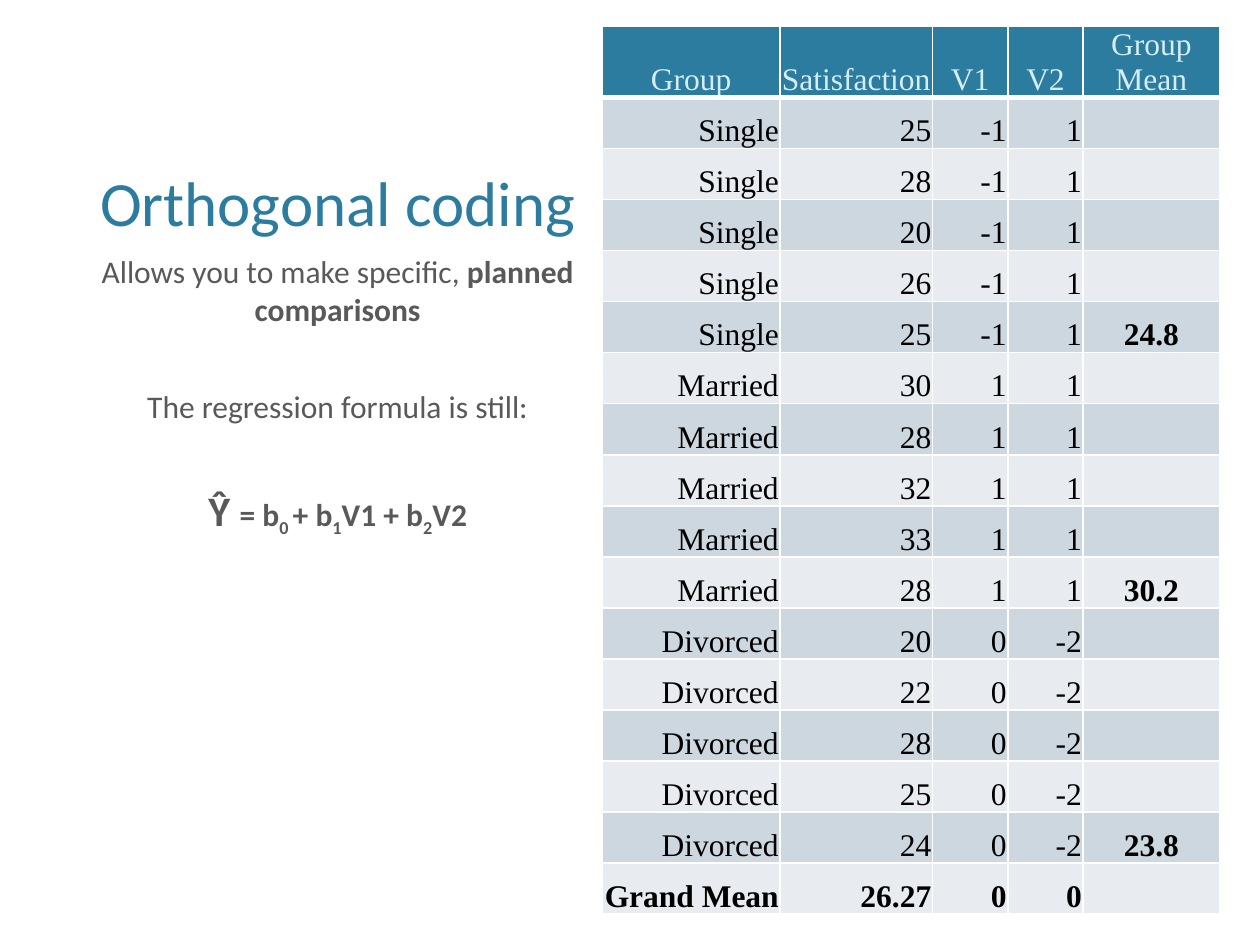
from dataclasses import dataclass

from lxml.etree import SubElement
from pptx import Presentation
from pptx.dml.color import RGBColor
from pptx.enum.text import MSO_ANCHOR, MSO_AUTO_SIZE, PP_ALIGN
from pptx.oxml.ns import qn
from pptx.util import Inches, Pt


@dataclass(frozen=True)
class Theme:
    accent: str = "2C7C9F"
    heading: str = "D5EDF4"
    body: str = "595959"
    cell: str = "000000"
    bands: tuple = ("CDD7DF", "E8ECF0")
    rule: str = "FFFFFF"
    sans: str = "Calibri"
    serif: str = "Times New Roman"
    title_size: int = 36
    symbol_size: int = 24
    text_size: int = 18


THEME = Theme()
WIDTH, HEIGHT = 10, 7.5

# Boxes are left, top, width and height as shares of the slide
TITLE_BOX = (0.058, 0.09, 0.42, 0.17)
BODY_BOX = (0.058, 0.26, 0.42, 0.54)
TABLE_BOX = (0.478, 0.028, 0.49, 0.94)

COLUMN_SHARES = (0.288, 0.247, 0.122, 0.122, 0.221)
HEADER_SHARE = 0.08
HEADINGS = ("Group", "Satisfaction", "V1", "V2", "Group Mean")
# Group, satisfaction scores, V1 and V2 codes, group mean
GROUPS = (
    ("Single", (25, 28, 20, 26, 25), -1, 1, 24.8),
    ("Married", (30, 28, 32, 33, 28), 1, 1, 30.2),
    ("Divorced", (20, 22, 28, 25, 24), 0, -2, 23.8),
)
GRAND_MEAN = ("Grand Mean", 26.27, 0, 0, "")

# Each paragraph: space before in points, then (text, formats) spans
BOLD = {"bold": True}
SUBSCRIPT = {"bold": True, "baseline": -25000}
BODY_TEXT = (
    (6, (("Allows you to make specific, ", {}), ("planned comparisons", BOLD))),
    (34, (("The regression formula is still:", {}),)),
    (34, (
        ("Ŷ ", {"bold": True, "size": THEME.symbol_size}),
        ("= b", BOLD), ("0 ", SUBSCRIPT),
        ("+ b", BOLD), ("1", SUBSCRIPT),
        ("V1 + b", BOLD), ("2", SUBSCRIPT), ("V2", BOLD),
    )),
)


def set_all(target, formats):
    for name, value in formats.items():
        setattr(target, name, value)


def to_slide(box):
    """Turn shares of the slide into lengths."""
    return [Inches(share * side) for share, side in zip(box, (WIDTH, HEIGHT) * 2)]


def add_span(para, text, color, name, size=THEME.text_size, bold=False, baseline=0):
    span = para.add_run()
    span.text = text
    set_all(span.font, {"name": name, "size": Pt(size), "bold": bold})
    span.font.color.rgb = RGBColor.from_string(color)
    if baseline:
        span._r.get_or_add_rPr().set("baseline", str(baseline))


def place(holder, box, anchor):
    set_all(holder, dict(zip(("left", "top", "width", "height"), to_slide(box))))
    set_all(holder.text_frame, {
        "word_wrap": True, "auto_size": MSO_AUTO_SIZE.NONE, "vertical_anchor": anchor,
    })


def fill_title(holder, box):
    place(holder, box, MSO_ANCHOR.BOTTOM)
    para = holder.text_frame.paragraphs[0]
    para.alignment = PP_ALIGN.CENTER
    add_span(para, "Orthogonal coding", THEME.accent, THEME.sans, THEME.title_size)


def fill_body(holder, box):
    place(holder, box, MSO_ANCHOR.TOP)
    frame = holder.text_frame
    for index, (gap, spans) in enumerate(BODY_TEXT):
        para = frame.add_paragraph() if index else frame.paragraphs[0]
        set_all(para, {"alignment": PP_ALIGN.CENTER, "space_before": Pt(gap)})
        for text, formats in spans:
            add_span(para, text, THEME.body, THEME.sans, **formats)


def add_borders(cell, top, bottom):
    """Draw the four cell edges; must run before the cell is filled."""
    properties = cell._tc.get_or_add_tcPr()
    for side, points in (("L", 1), ("R", 1), ("T", top), ("B", bottom)):
        line = SubElement(properties, qn(f"a:ln{side}"), w=str(Pt(points)))
        fill = SubElement(line, qn("a:solidFill"))
        SubElement(fill, qn("a:srgbClr"), val=THEME.rule)


def table_rows():
    rows = [HEADINGS]
    for group, scores, v1, v2, mean in GROUPS:
        rows += [(group, score, v1, v2, "") for score in scores[:-1]]
        rows.append((group, scores[-1], v1, v2, mean))
    return rows + [GRAND_MEAN]


def fill_cell(cell, value, row, column, last_row):
    header, mean_column = row == 0, column == len(HEADINGS) - 1
    add_borders(cell, top=3 if row == 1 else 1, bottom=3 if header else 1)
    set_all(cell, {
        "vertical_anchor": MSO_ANCHOR.BOTTOM, "margin_left": Inches(0.01),
        "margin_right": Inches(0.01), "margin_top": Inches(0.01), "margin_bottom": 0,
    })
    cell.fill.solid()
    fill = THEME.accent if header else THEME.bands[(row - 1) % 2]
    cell.fill.fore_color.rgb = RGBColor.from_string(fill)
    if value == "":
        return
    para = cell.text_frame.paragraphs[0]
    para.alignment = PP_ALIGN.CENTER if header or mean_column else PP_ALIGN.RIGHT
    bold = not header and (mean_column or row == last_row)
    color = THEME.heading if header else THEME.cell
    add_span(para, str(value), color, THEME.serif, bold=bold)


def add_scores(page, box):
    rows = table_rows()
    left, top, width, height = to_slide(box)
    table = page.shapes.add_table(
        len(rows), len(HEADINGS), left, top, width, height).table
    for column, share in zip(table.columns, COLUMN_SHARES):
        column.width = int(width * share)
    body_share = (1 - HEADER_SHARE) / (len(rows) - 1)
    for index, values in enumerate(rows):
        table.rows[index].height = int(height * (body_share if index else HEADER_SHARE))
        for column, value in enumerate(values):
            fill_cell(table.cell(index, column), value, index, column, len(rows) - 1)


def main():
    deck = Presentation()
    set_all(deck, {"slide_width": Inches(WIDTH), "slide_height": Inches(HEIGHT)})
    page = deck.slides.add_slide(deck.slide_layouts.get_by_name("Content with Caption"))
    title, content, body = page.placeholders
    content.element.getparent().remove(content.element)
    fill_title(title, TITLE_BOX)
    add_scores(page, TABLE_BOX)
    fill_body(body, BODY_BOX)
    deck.save("out.pptx")


if __name__ == "__main__":
    main()
